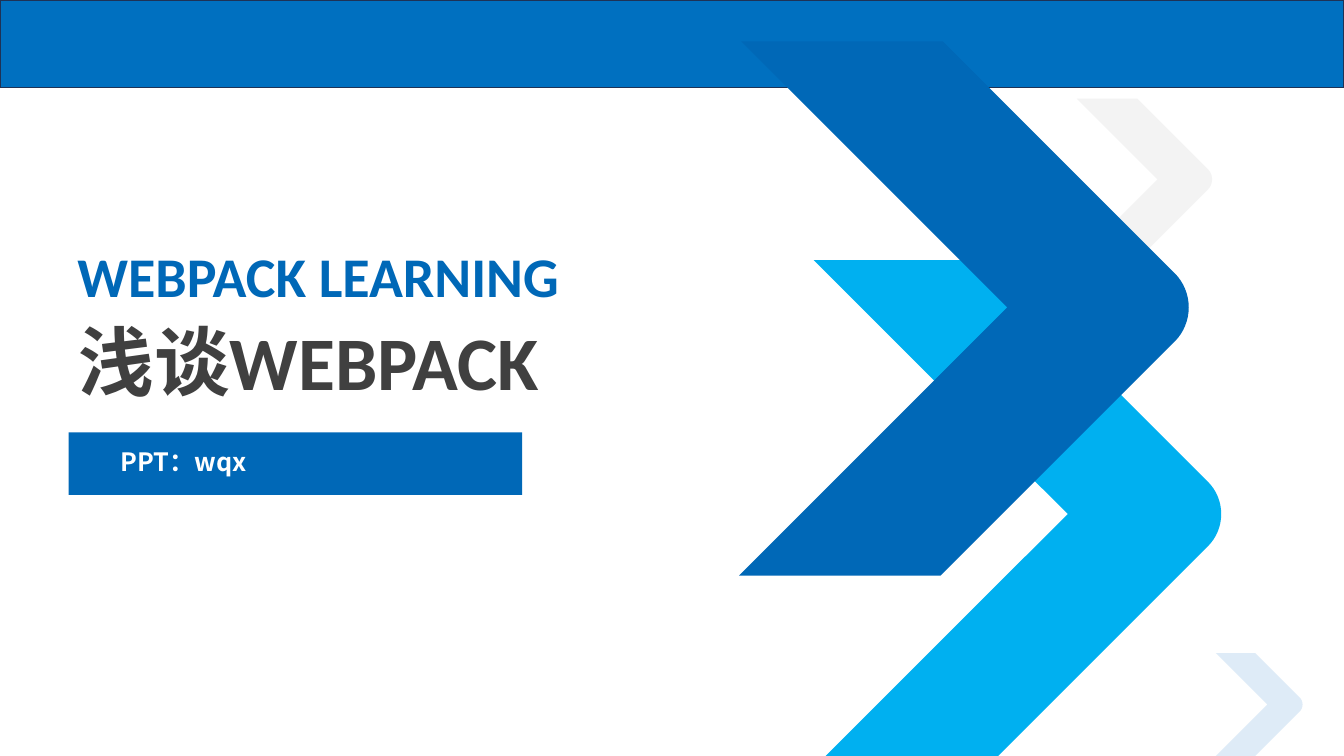
from lxml import etree
from pptx import Presentation
from pptx.dml.color import RGBColor
from pptx.enum.text import MSO_ANCHOR, MSO_AUTO_SIZE, PP_ALIGN
from pptx.enum.shapes import MSO_SHAPE
from pptx.oxml.ns import qn
from pptx.util import Inches, Pt

RECTANGLE = MSO_SHAPE.RECTANGLE
LEFT, CENTER = PP_ALIGN.LEFT, PP_ALIGN.CENTER
TOP, MIDDLE = MSO_ANCHOR.TOP, MSO_ANCHOR.MIDDLE
NO_AUTOFIT = MSO_AUTO_SIZE.NONE

SLIDE_W, SLIDE_H = 13.33, 7.5
CURVE_STEPS = 16
COLORS = {
    "band": "0070C0", "band edge": "1E3256", "deep blue": "0068B7",
    "sky": "00B0F0", "pale blue": "DEEBF7", "pale gray": "F2F2F2",
    "heading": "404040", "white": "FFFFFF",
}


def rgb(name):
    return RGBColor.from_string(COLORS[name])


def paint(shape, color, edge=None):
    shape.shadow.inherit = False
    shape.fill.solid()
    shape.fill.fore_color.rgb = rgb(color)
    if edge:
        shape.line.color.rgb = rgb(edge)
        shape.line.width = Pt(1)
    else:
        shape.line.fill.background()


def add_bar(shapes, box, color, edge=None):
    bar = shapes.add_shape(RECTANGLE, *map(Inches, box))
    paint(bar, color, edge)
    return bar


def write(shape, text, size, color, font, align=LEFT, anchor=TOP, wrap=True):
    frame = shape.text_frame
    frame.word_wrap = wrap
    frame.auto_size = NO_AUTOFIT
    frame.vertical_anchor = anchor
    line = frame.paragraphs[0]
    line.text = text
    line.alignment = align
    line.font.size = Pt(size)
    line.font.bold = True
    line.font.name = font
    line.font.color.rgb = rgb(color)


def add_chevron(shapes, top, middle, bottom, notch, shoulder, radius, color, opacity=None):
    """Right-pointing chevron with 45 degree arms and a rounded tip."""
    rise, drop = middle - top, bottom - middle
    # Cubic curve around the tip, from the upper to the lower shoulder
    bulge = shoulder + 0.55 * radius
    tip = []
    for step in range(CURVE_STEPS + 1):
        t = step / CURVE_STEPS
        weights = ((1 - t) ** 3, 3 * t * (1 - t) ** 2, 3 * t * t * (1 - t), t ** 3)
        xs = (shoulder, bulge, bulge, shoulder)
        ys = (-radius, -0.45 * radius, 0.45 * radius, radius)
        tip.append((sum(w * x for w, x in zip(weights, xs)),
                    middle + sum(w * y for w, y in zip(weights, ys))))
    outline = [
        (notch - rise, top), (shoulder - rise + radius, top), *tip,
        (shoulder - drop + radius, bottom), (notch - drop, bottom), (notch, middle),
    ]
    points = [(Inches(x), Inches(y)) for x, y in outline]
    builder = shapes.build_freeform(*points[0])
    builder.add_line_segments(points[1:], close=True)
    chevron = builder.convert_to_shape()
    paint(chevron, color)
    if opacity:
        fill_color = chevron.fill._xPr.find(qn("a:solidFill"))[0]
        etree.SubElement(fill_color, qn("a:alpha")).set("val", str(opacity * 1000))


def add_headings(slide, left, top):
    subject = slide.shapes.add_textbox(*map(Inches, (left, top, 5.03, 0.77)))
    write(subject, "WEBPACK LEARNING", 40, "deep blue", "Calibri", wrap=False)
    title = slide.shapes.title
    title.left, title.top, title.width, title.height = map(
        Inches, (left + 0.01, top + 0.72, 8.76, 1.01))
    write(title, "浅谈WEBPACK", 54, "heading", "Calibri")


def add_author(slide, left, top):
    group = slide.shapes.add_group_shape()
    add_bar(group.shapes, (left, top, 4.5, 0.62), "deep blue")
    author = add_bar(group.shapes, (left + 0.02, top + 0.09, 2.24, 0.4), "deep blue")
    write(author, "PPT：wqx", 18, "white", "Noto Sans CJK SC", CENTER, MIDDLE)


def build_cover(prs):
    slide = prs.slides.add_slide(prs.slide_layouts[5])
    shapes = slide.shapes
    add_bar(shapes, (0, 0, SLIDE_W, 0.87), "band", "band edge")
    add_headings(slide, 0.67, 2.35)
    add_author(slide, 0.68, 4.29)
    # Chevrons from back to front: top, middle, bottom, notch, shoulder, radius
    add_chevron(shapes, 0.98, 1.78, 2.58, 11.48, 11.98, 0.1, "pale gray", 90)
    add_chevron(shapes, 2.58, 5.1, 7.51, 10.59, 11.98, 0.32, "sky")
    add_chevron(shapes, 0.41, 3.05, 5.71, 9.99, 11.65, 0.34, "deep blue")
    add_chevron(shapes, 6.48, 6.99, 7.51, 12.57, 12.89, 0.07, "pale blue")


def main():
    prs = Presentation()
    prs.slide_width, prs.slide_height = Inches(SLIDE_W), Inches(SLIDE_H)
    build_cover(prs)
    prs.save("out.pptx")


if __name__ == "__main__":
    main()
